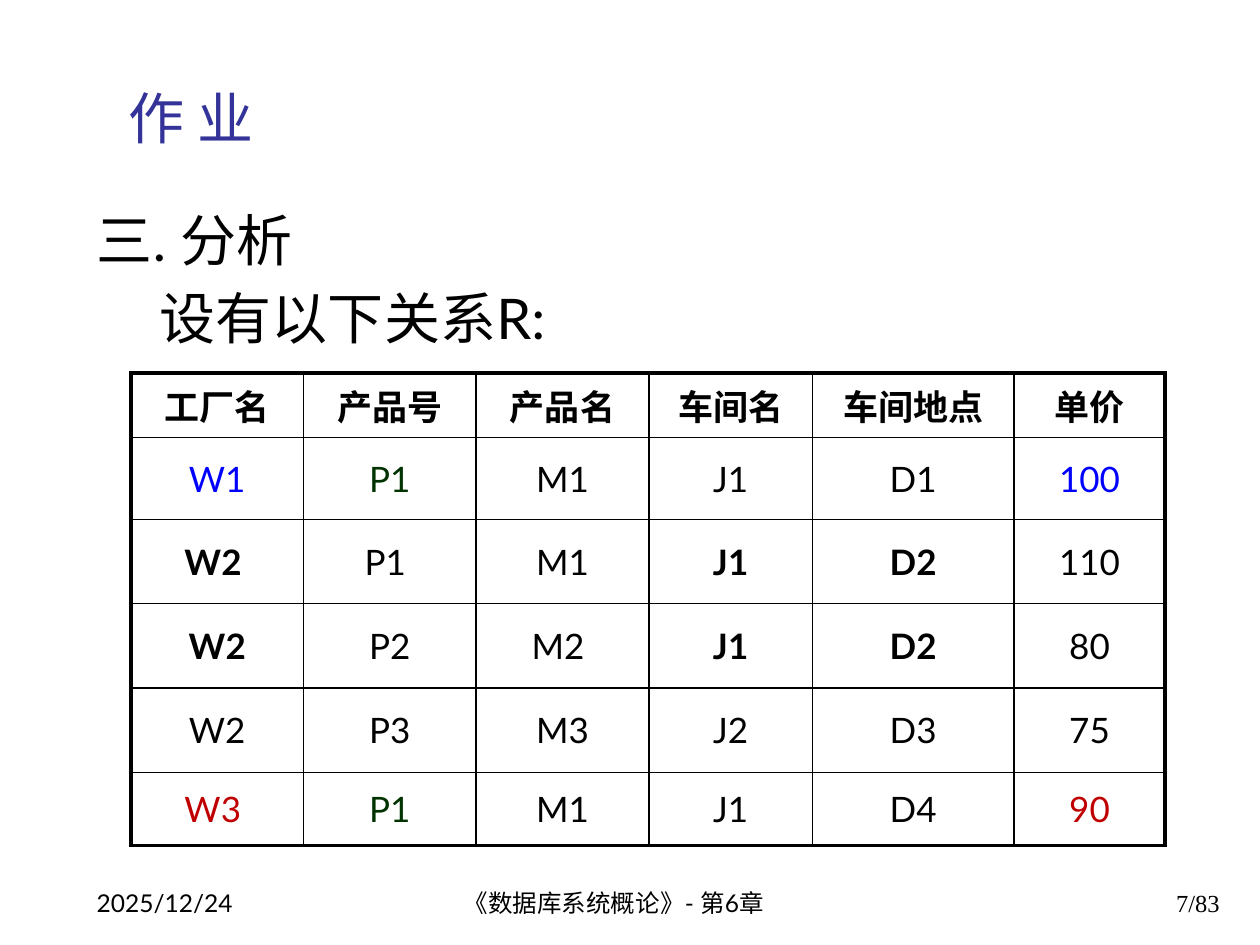
from lxml import etree
from pptx import Presentation
from pptx.dml.color import RGBColor
from pptx.enum.text import MSO_ANCHOR, MSO_AUTO_SIZE, PP_ALIGN
from pptx.oxml.ns import qn
from pptx.util import Cm, Pt

LEFT, CENTER, RIGHT = PP_ALIGN.LEFT, PP_ALIGN.CENTER, PP_ALIGN.RIGHT
TOP, MIDDLE, BOTTOM = MSO_ANCHOR.TOP, MSO_ANCHOR.MIDDLE, MSO_ANCHOR.BOTTOM
NO_FIT = MSO_AUTO_SIZE.NONE

BLACK = RGBColor(0x00, 0x00, 0x00)
INDIGO = RGBColor(0x33, 0x33, 0x99)
BLUE = RGBColor(0x00, 0x00, 0xFF)
GREEN = RGBColor(0x00, 0x33, 0x00)
RED = RGBColor(0xC0, 0x00, 0x00)

SANS, SERIF = "Lato", "Times New Roman"
THIN, THICK = 1, 2.25

COLUMNS = [3.48, 3.48, 3.48, 3.3, 4.06, 3.05]
ROWS = [1.3, 1.65, 1.7, 1.7, 1.7, 1.47]
RELATION = [
    ["工厂名", "产品号", "产品名", "车间名", "车间地点", "单价"],
    ["W1", "P1", "M1", "J1", "D1", "100"],
    ["W2 ", "P1 ", "M1", "J1", "D2", "110"],
    ["W2", "P2", "M2 ", "J1", "D2", "80"],
    ["W2", "P3", "M3", "J2", "D3", "75"],
    ["W3 ", "P1", "M1", "J1", "D4", "90"],
]
CELL_COLORS = {(1, 0): BLUE, (1, 1): GREEN, (1, 5): BLUE,
               (5, 0): RED, (5, 1): GREEN, (5, 5): RED}
BOLD_CELLS = {(row, column) for row in (2, 3) for column in (0, 3, 4)}


def write(paragraph, text, size=14, color=BLACK, font=SANS, bold=False, align=LEFT):
    paragraph.alignment = align
    span = paragraph.add_run()
    span.text = text
    span.font.name = font
    span.font.size = Pt(size)
    span.font.bold = bold
    span.font.color.rgb = color


def remove_bullet(paragraph):
    properties = paragraph._p.get_or_add_pPr()
    properties.set("marL", "0")
    properties.set("indent", "0")
    etree.SubElement(properties, qn("a:buNone"))


def draw_border(cell, side, width):
    properties = cell._tc.get_or_add_tcPr()
    line = etree.SubElement(properties, qn(f"a:ln{side}"), w=str(Pt(width)))
    fill = etree.SubElement(line, qn("a:solidFill"))
    etree.SubElement(fill, qn("a:srgbClr"), val=str(BLACK))


class HomeworkSlide:
    def __init__(self, deck):
        self.page = deck.slides.add_slide(deck.slide_layouts[1])

    def place(self, box, left, top, width, height, anchor):
        box.left, box.top = Cm(left), Cm(top)
        box.width, box.height = Cm(width), Cm(height)
        frame = box.text_frame
        frame.word_wrap = True
        frame.auto_size = NO_FIT
        frame.vertical_anchor = anchor
        return frame

    def title(self, text):
        frame = self.place(self.page.shapes.title, 2.34, 1.07, 22.5, 2.1, BOTTOM)
        write(frame.paragraphs[0], text, size=32, color=INDIGO)

    def body(self, lines):
        frame = self.place(self.page.placeholders[1], 1.7, 4.01, 11.38, 13, TOP)
        for index, text in enumerate(lines):
            paragraph = frame.add_paragraph() if index else frame.paragraphs[0]
            remove_bullet(paragraph)
            paragraph.space_before = Pt(6.4 if index else 0)
            write(paragraph, text, size=32)

    def table(self, rows):
        last_row, last_column = len(ROWS) - 1, len(COLUMNS) - 1
        table = self.page.shapes.add_table(
            len(ROWS), len(COLUMNS), Cm(2.64), Cm(7.52),
            Cm(sum(COLUMNS)), Cm(sum(ROWS))).table
        table.horz_banding = False
        for column, width in zip(table.columns, COLUMNS):
            column.width = Cm(width)
        for row, height in zip(table.rows, ROWS):
            row.height = Cm(height)
        for r, values in enumerate(rows):
            for c, text in enumerate(values):
                cell = table.cell(r, c)
                cell.vertical_anchor = MIDDLE
                outer = {"L": c == 0, "R": c == last_column,
                         "T": r == 0, "B": r == last_row}
                for side, is_outer in outer.items():
                    draw_border(cell, side, THICK if is_outer else THIN)
                cell.fill.background()
                write(cell.text_frame.paragraphs[0], text, size=20, align=CENTER,
                      color=CELL_COLORS.get((r, c), BLACK),
                      bold=r == 0 or (r, c) in BOLD_CELLS)

    def footer(self, text, left, width, **style):
        box = self.page.shapes.add_textbox(0, 0, 0, 0)
        frame = self.place(box, left, 17.35, width, 1.27, BOTTOM)
        write(frame.paragraphs[0], text, **style)


def main():
    deck = Presentation()
    deck.slide_width, deck.slide_height = Cm(25.4), Cm(19.05)
    slide = HomeworkSlide(deck)
    slide.title("作 业")
    slide.body(["三. 分析", "\t设有以下关系R:"])
    slide.table(RELATION)
    slide.footer("2025/12/24", 1.7, 5.28)
    slide.footer("《数据库系统概论》- 第6章", 9.1, 8.05)
    slide.footer("7/83", 19.56, 5.28, font=SERIF, align=RIGHT)
    deck.save("out.pptx")


if __name__ == "__main__":
    main()
